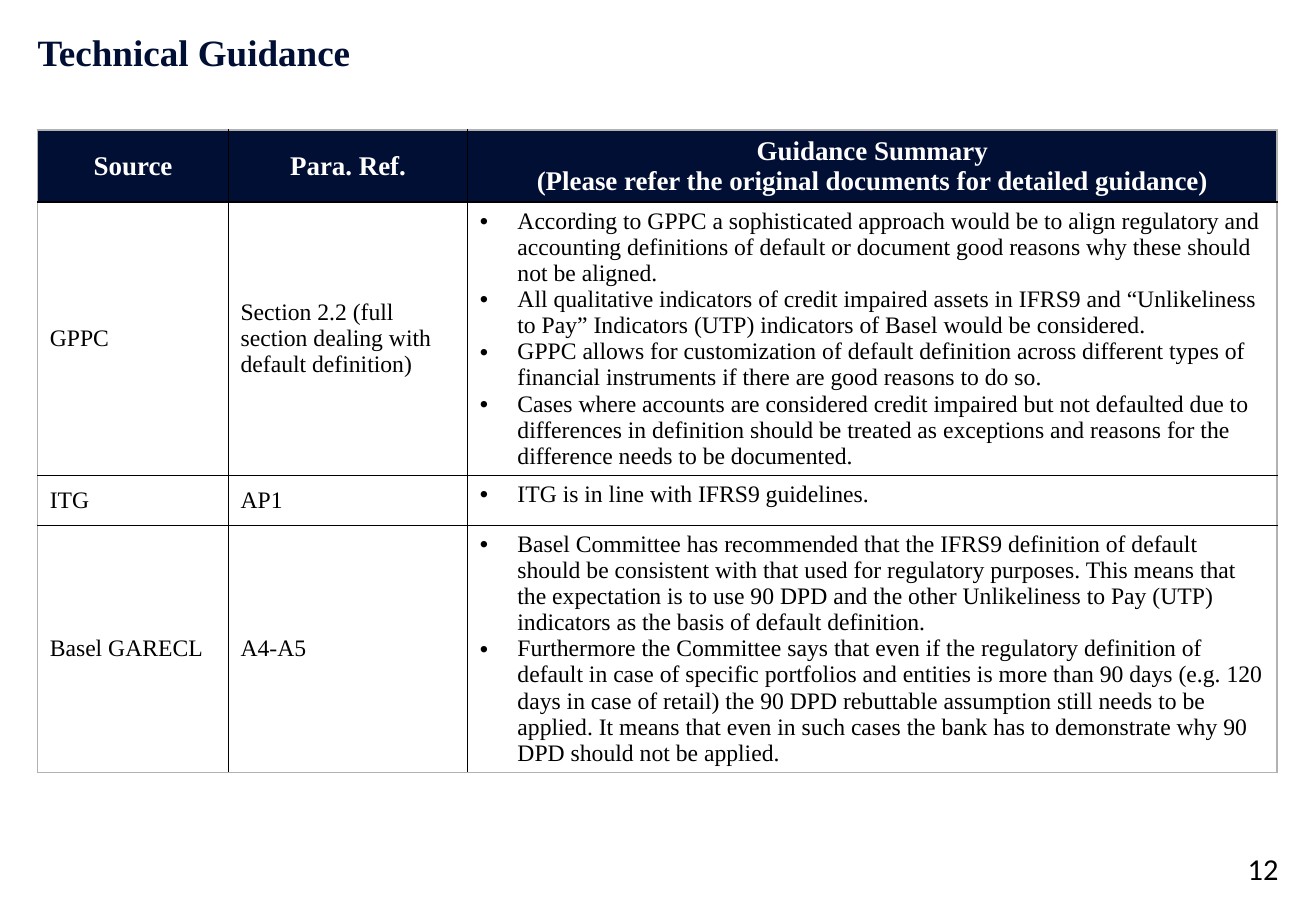
from dataclasses import dataclass

from lxml.etree import SubElement
from pptx import Presentation
from pptx.dml.color import RGBColor
from pptx.enum.text import MSO_ANCHOR as Anchor, PP_ALIGN as Align
from pptx.oxml import parse_xml
from pptx.oxml.ns import nsdecls, qn
from pptx.util import Emu, Inches, Pt


@dataclass(frozen=True)
class Theme:
    navy: str = "000F33"
    black: str = "000000"
    white: str = "FFFFFF"
    frame: str = "B2B2B2"
    serif: str = "Times New Roman"
    sans: str = "Calibri"
    title: int = 22
    number: int = 18
    heading: int = 16
    body: int = 14
    rule: int = 1
    indent: float = 0.31


@dataclass(frozen=True)
class Area:
    """A rectangle in percent of the slide's width and height."""
    left: float
    top: float
    width: float
    height: float


@dataclass(frozen=True)
class Guidance:
    source: str
    reference: str
    summary: tuple[str, ...]
    height: float


THEME = Theme()
WIDTH, HEIGHT = Inches(10.83), Inches(7.5)

TITLE_AREA = Area(2.86, 3.73, 94.18, 13.47)
TABLE_AREA = Area(2.86, 14.27, 94.18, 70.47)
NUMBER_AREA = Area(92.71, 93.2, 4.43, 4.13)
COLUMNS = (14.5, 18.18, 61.5)
HEADER_HEIGHT = 7.9

HEADINGS = (
    ("Source",),
    ("Para. Ref.",),
    ("Guidance Summary",
     "(Please refer the original documents for detailed guidance)"),
)
GUIDANCE = (
    Guidance("GPPC", "Section 2.2 (full section dealing with default definition)", (
        "According to GPPC a sophisticated approach would be to align regulatory and "
        "accounting definitions of default or document good reasons why these should "
        "not be aligned.",
        "All qualitative indicators of credit impaired assets in IFRS9 and “Unlikeliness "
        "to Pay” Indicators (UTP) indicators of Basel would be considered.",
        "GPPC allows for customization of default definition across different types of "
        "financial instruments if there are good reasons to do so.",
        "Cases where accounts are considered credit impaired but not defaulted due to "
        "differences in definition should be treated as exceptions and reasons for the "
        "difference needs to be documented.",
    ), 30.0),
    Guidance("ITG", "AP1", ("ITG is in line with IFRS9 guidelines.",), 5.47),
    Guidance("Basel GARECL", "A4-A5", (
        "Basel Committee has recommended that the IFRS9 definition of default "
        "should be consistent with that used for regulatory purposes. This means that "
        "the expectation is to use 90 DPD and the other Unlikeliness to Pay (UTP) "
        "indicators as the basis of default definition.",
        "Furthermore the Committee says that even if the regulatory definition of "
        "default in case of specific portfolios and entities is more than 90 days (e.g. 120 "
        "days in case of retail) the 90 DPD rebuttable assumption still needs to be "
        "applied. It means that even in such cases the bank has to demonstrate why 90 "
        "DPD should not be applied.",
    ), 27.1),
)


def across(percent: float) -> Emu:
    return Emu(round(WIDTH * percent / 100))


def down(percent: float) -> Emu:
    return Emu(round(HEIGHT * percent / 100))


def bounds(area: Area) -> tuple[Emu, Emu, Emu, Emu]:
    return across(area.left), down(area.top), across(area.width), down(area.height)


def write(frame, lines: tuple[str, ...], *, size: int = THEME.body,
          font: str = THEME.serif, color: str = THEME.black, bold: bool = False,
          align: Align = Align.LEFT, spacing: float = 1.0, bullet: bool = False) -> None:
    """Fill a text frame with one paragraph per line."""
    for index, line in enumerate(lines):
        para = frame.add_paragraph() if index else frame.paragraphs[0]
        para.alignment = align
        para.line_spacing = spacing
        para.space_before = para.space_after = Pt(0)
        if bullet:
            props = para._p.get_or_add_pPr()
            props.set("marL", str(Inches(THEME.indent)))
            props.set("indent", str(-Inches(THEME.indent)))
            SubElement(props, qn("a:buFont"), typeface="Arial")
            SubElement(props, qn("a:buChar"), char="•")
        span = para.add_run()
        span.text = line
        span.font.size = Pt(size)
        span.font.name = font
        span.font.bold = bold
        span.font.color.rgb = RGBColor.from_string(color)


def prepare(frame, anchor: Anchor) -> None:
    """Wrap a text frame, anchor it and clear its margins."""
    frame.word_wrap = True
    frame.vertical_anchor = anchor
    frame.margin_left = frame.margin_right = frame.margin_top = frame.margin_bottom = 0


def add_borders(cell, outer: dict[str, bool]) -> None:
    """Rule each side of a cell, lighter along the table's outer edge."""
    props = cell._tc.get_or_add_tcPr()
    for index, (side, is_outer) in enumerate(outer.items()):
        color = THEME.frame if is_outer else THEME.black
        props.insert(index, parse_xml(
            f'<a:ln{side} {nsdecls("a")} w="{Pt(THEME.rule)}"><a:solidFill>'
            f'<a:srgbClr val="{color}"/></a:solidFill></a:ln{side}>'))


def add_guidance_table(slide) -> None:
    heights = (HEADER_HEIGHT, *(item.height for item in GUIDANCE))
    table = slide.shapes.add_table(
        len(heights), len(COLUMNS), *bounds(TABLE_AREA)).table
    table.horz_banding = False
    for column, width in zip(table.columns, COLUMNS):
        column.width = across(width)
    for row, height in zip(table.rows, heights):
        row.height = down(height)

    contents = (HEADINGS, *(((item.source,), (item.reference,), item.summary)
                            for item in GUIDANCE))
    last_row, last_column = len(heights) - 1, len(COLUMNS) - 1
    for r, texts in enumerate(contents):
        for c, lines in enumerate(texts):
            cell = table.cell(r, c)
            is_summary = r > 0 and c == last_column
            cell.vertical_anchor = Anchor.TOP if is_summary else Anchor.MIDDLE
            if r == 0:
                cell.fill.solid()
                cell.fill.fore_color.rgb = RGBColor.from_string(THEME.navy)
                write(cell.text_frame, lines, size=THEME.heading,
                      color=THEME.white, bold=True, align=Align.CENTER)
            else:
                cell.fill.background()
                write(cell.text_frame, lines, bullet=is_summary)
            add_borders(cell, {"L": c == 0, "R": c == last_column,
                               "T": r == 0, "B": r == last_row})


def main() -> None:
    deck = Presentation()
    deck.slide_width, deck.slide_height = WIDTH, HEIGHT
    slide = deck.slides.add_slide(deck.slide_layouts.get_by_name("Title Only"))

    # Title
    title = slide.shapes.title
    title.left, title.top, title.width, title.height = bounds(TITLE_AREA)
    prepare(title.text_frame, Anchor.TOP)
    write(title.text_frame, ("Technical Guidance",), size=THEME.title,
          color=THEME.navy, bold=True, spacing=0.9)

    # Guidance table
    add_guidance_table(slide)

    # Page number
    number = slide.shapes.add_textbox(*bounds(NUMBER_AREA))
    prepare(number.text_frame, Anchor.BOTTOM)
    write(number.text_frame, ("12",), size=THEME.number, font=THEME.sans,
          align=Align.RIGHT)

    deck.save("out.pptx")


if __name__ == "__main__":
    main()
